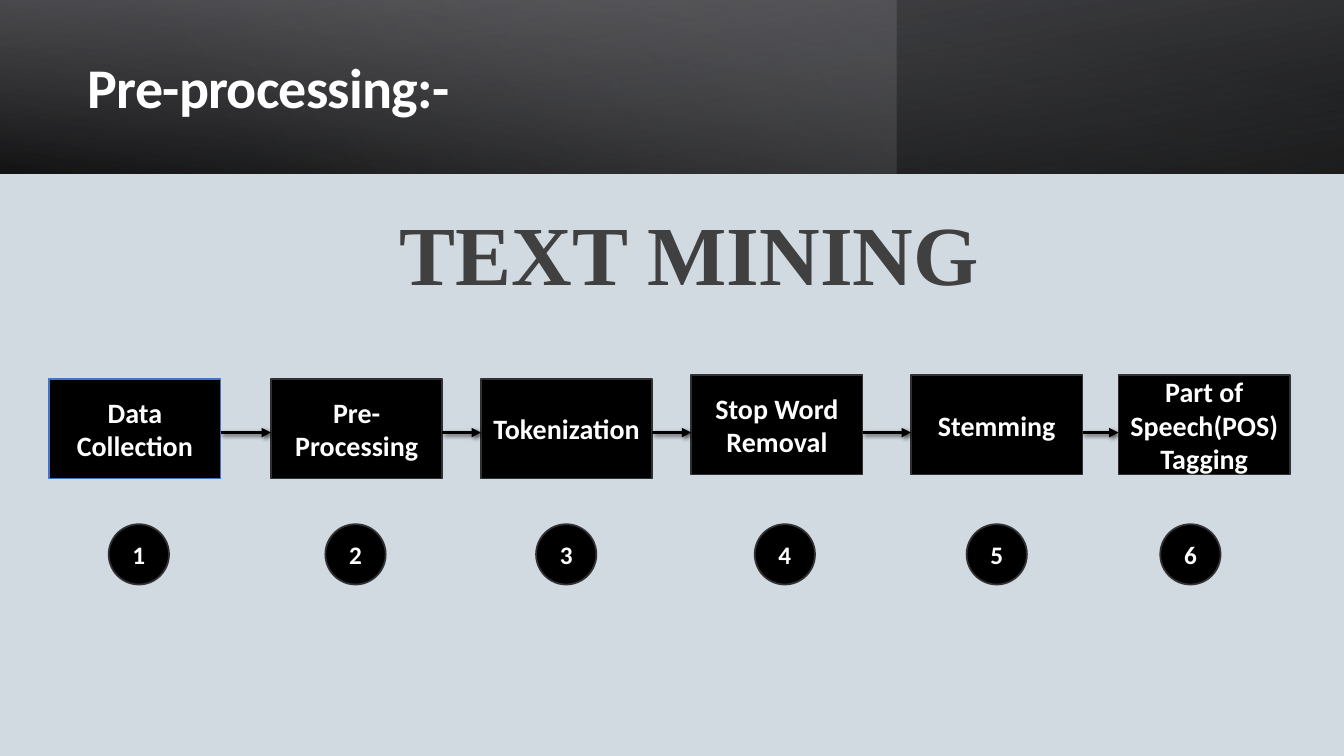
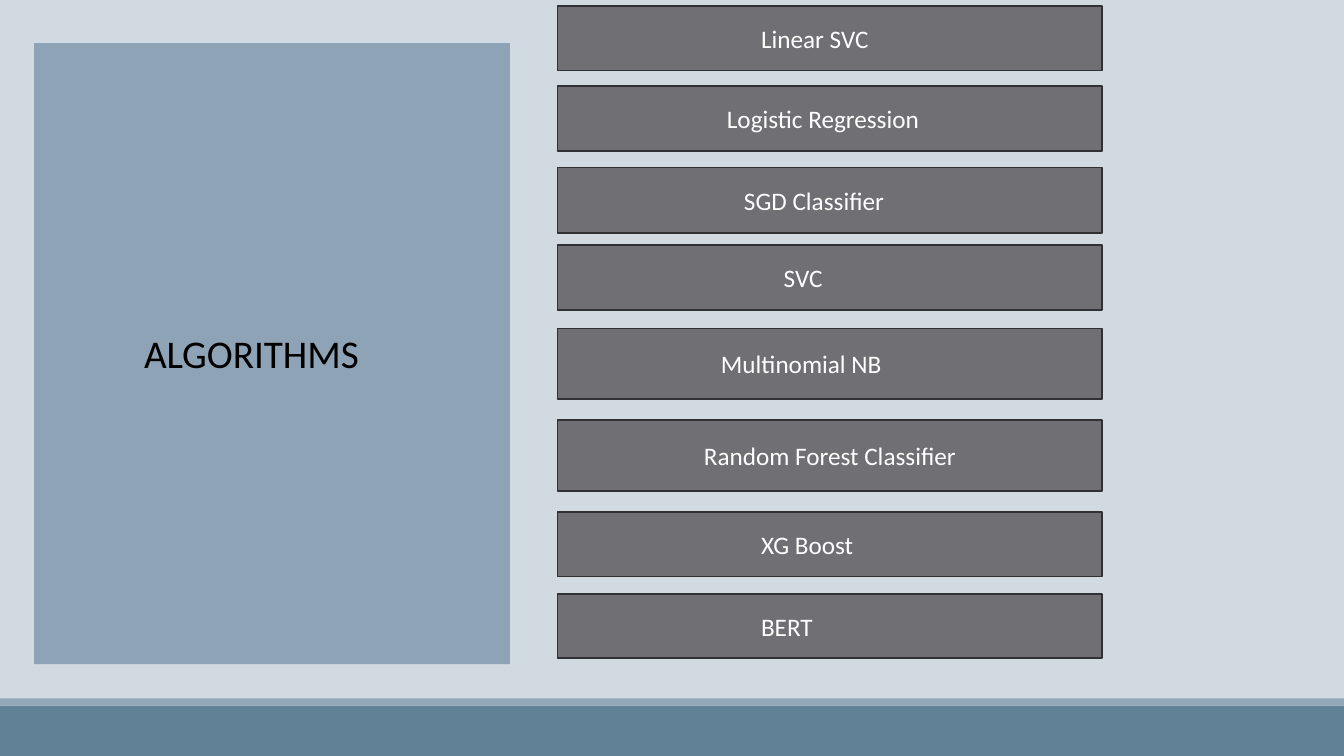
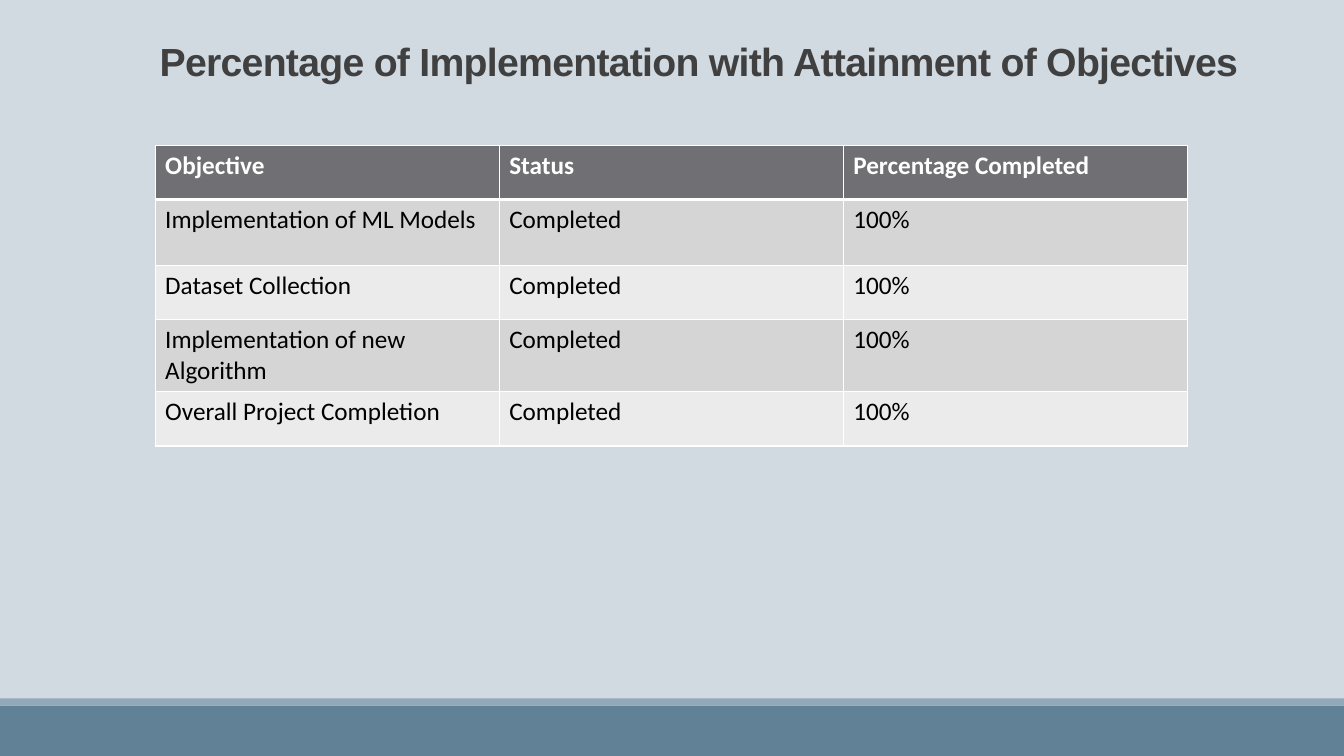
from lxml import etree
from pptx import Presentation
from pptx.dml.color import RGBColor
from pptx.enum.shapes import MSO_CONNECTOR, MSO_SHAPE as SHAPE
from pptx.enum.text import MSO_ANCHOR as ANCHOR, PP_ALIGN as ALIGN
from pptx.oxml import parse_xml
from pptx.oxml.ns import nsdecls
from pptx.util import Cm, Pt

# Shared style
WIDTH, HEIGHT = 33.87, 19.05
PAGE, STRIPE, FOOTER, PANEL = "D1D9E1", "92A9B9", "618197", "8FA3B6"
BLACK, WHITE, GREY, EDGE, BLUE = "000000", "FFFFFF", "6F6F74", "313133", "4472C4"
HEADING, BAND_DARK, BAND_LIGHT = "404040", "D5D5D6", "EBEBEB"

# Slide 1: header gradients as (width, angle, stops of position, colour, opacity)
HEADER_H = 4.37
HEADER_LAYERS = [
    (WIDTH, 260, [(0, BLACK, 96), (100, "535357", 100)]),
    (22.58, 140, [(0, GREY, 41), (74, "A8A8AC", 0)]),
    (WIDTH, 280, [(0, BLACK, 63), (78, GREY, 15)]),
]
# Steps as (lines, box left, box top, circle left)
STEPS = [
    (["Data Collection"], 1.24, 9.55, 2.74),
    (["Pre-Processing"], 6.83, 9.55, 8.2),
    (["Tokenization"], 12.12, 9.55, 13.51),
    (["Stop Word Removal"], 17.42, 9.45, 19.02),
    (["Stemming"], 22.96, 9.45, 24.36),
    (["Part of Speech(POS)", "Tagging"], 28.19, 9.45, 29.24),
]
STEP_W, STEP_H, ARROW_Y = 4.32, 2.51, 10.9
CIRCLE_TOP, CIRCLE_D = 13.21, 1.52

# Slide 2: algorithms as (name, top, height, text indent)
ALGORITHMS = [
    ("Linear SVC", 0.15, 1.63, 4.88),
    ("Logistic Regression", 2.16, 1.65, 4.02),
    ("SGD Classifier", 4.22, 1.65, 4.45),
    ("SVC", 6.17, 1.65, 5.45),
    ("Multinomial NB", 8.28, 1.78, 3.87),
    ("Random Forest Classifier", 10.59, 1.78, 3.44),
    ("XG Boost", 12.9, 1.63, 4.88),
    ("BERT", 14.96, 1.63, 4.88),
]
BAR_LEFT, BAR_W, INSET = 14.05, 13.72, 0.25

# Slide 3: objectives
OBJECTIVES = [
    ("Objective", "Status", "Percentage Completed"),
    ("Implementation of ML Models", "Completed", "100%"),
    ("Dataset Collection", "Completed", "100%"),
    ("Implementation of new Algorithm", "Completed", "100%"),
    ("Overall Project Completion", "Completed", "100%"),
]
ROW_HEIGHTS = [1.37, 1.65, 1.37, 1.82, 1.37]
COL_W = 8.67


def rgb(color):
    return RGBColor.from_string(color)


def write(tf, lines, size, color, bold=False, font="Calibri", align=ALIGN.LEFT,
          anchor=ANCHOR.TOP, line_spacing=None, tracking=None):
    tf.word_wrap = True
    tf.vertical_anchor = anchor
    for i, line in enumerate(lines):
        p = tf.add_paragraph() if i else tf.paragraphs[0]
        p.alignment = align
        if line_spacing:
            p.line_spacing = line_spacing
        r = p.add_run()
        r.text = line
        r.font.size, r.font.name, r.font.bold = Pt(size), font, bold
        r.font.color.rgb = rgb(color)
        if tracking:
            r._r.get_or_add_rPr().set("spc", str(round(tracking * 100)))


def add_box(s, left, top, width, height, fill=None, line=None, kind=SHAPE.RECTANGLE):
    sp = s.shapes.add_shape(kind, Cm(left), Cm(top), Cm(width), Cm(height))
    sp.shadow.inherit = False
    if fill:
        sp.fill.solid()
        sp.fill.fore_color.rgb = rgb(fill)
    else:
        sp.fill.background()
    if line:
        sp.line.color.rgb = rgb(line)
        sp.line.width = Pt(1.25)
    else:
        sp.line.fill.background()
    return sp


def add_text(s, left, top, width, height, text, size, color, **style):
    tb = s.shapes.add_textbox(Cm(left), Cm(top), Cm(width), Cm(height))
    write(tb.text_frame, [text], size, color, **style)


def add_gradient(s, width, angle, stops):
    sp = add_box(s, 0, 0, width, HEADER_H)
    marks = "".join(
        f'<a:gs pos="{pos * 1000}"><a:srgbClr val="{color}">'
        f'<a:alpha val="{alpha * 1000}"/></a:srgbClr></a:gs>'
        for pos, color, alpha in stops)
    gradient = parse_xml(
        f'<a:gradFill {nsdecls("a")} rotWithShape="1"><a:gsLst>{marks}</a:gsLst>'
        f'<a:lin ang="{angle * 60000}" scaled="0"/></a:gradFill>')
    props = sp._element.spPr
    props.replace(props.find("{*}noFill"), gradient)


def add_arrow(s, start, end, y):
    c = s.shapes.add_connector(MSO_CONNECTOR.STRAIGHT, Cm(start), Cm(y), Cm(end), Cm(y))
    c.line.color.rgb = rgb(BLACK)
    c.line.width = Pt(2.25)
    c.line._get_or_add_ln().append(
        parse_xml(f'<a:tailEnd {nsdecls("a")} type="triangle"/>'))
    c._element.spPr.append(parse_xml(
        f'<a:effectLst {nsdecls("a")}><a:outerShdw blurRad="{Pt(3)}" dist="{Pt(2)}" '
        f'dir="{45 * 60000}"><a:srgbClr val="{BLACK}"><a:alpha val="60000"/>'
        f'</a:srgbClr></a:outerShdw></a:effectLst>'))


def set_borders(cell, top, bottom):
    tc_pr = cell._tc.get_or_add_tcPr()
    for i, (side, width) in enumerate([("L", 1), ("R", 1), ("T", top), ("B", bottom)]):
        ln = parse_xml(f'<a:ln{side} {nsdecls("a")} w="{Pt(width)}"/>')
        fill = etree.SubElement(ln, ln.tag.replace(f"ln{side}", "solidFill"))
        etree.SubElement(fill, fill.tag.replace("solidFill", "srgbClr"), val=WHITE)
        tc_pr.insert(i, ln)


def add_slide(prs, footer=True):
    s = prs.slides.add_slide(prs.slide_layouts[6])
    if footer:
        add_box(s, 0, 17.78, WIDTH, 1.27, FOOTER)
        add_box(s, 0, 17.6, WIDTH, 0.18, STRIPE)
    return s


def build_process(prs):
    s = add_slide(prs, footer=False)
    for layer in HEADER_LAYERS:
        add_gradient(s, *layer)
    add_text(s, 1.96, 0.69, 19.61, 3.23, "Pre-processing:-", 40, WHITE, bold=True,
             anchor=ANCHOR.MIDDLE, line_spacing=0.85, tracking=-0.5)
    add_text(s, 1.93, 5.23, 30.89, 2.6, "TEXT MINING", 60, HEADING, bold=True,
             font="Times New Roman", align=ALIGN.CENTER, line_spacing=0.9)
    centred = dict(bold=True, align=ALIGN.CENTER, anchor=ANCHOR.MIDDLE)
    for i, (lines, left, top, circle_left) in enumerate(STEPS):
        box = add_box(s, left, top, STEP_W, STEP_H, BLACK, EDGE if i else BLUE)
        write(box.text_frame, lines, 20, WHITE, **centred)
        circle = add_box(s, circle_left, CIRCLE_TOP, CIRCLE_D, CIRCLE_D, BLACK, EDGE,
                         SHAPE.FLOWCHART_CONNECTOR)
        write(circle.text_frame, [str(i + 1)], 18, WHITE, **centred)
    for step, following in zip(STEPS, STEPS[1:]):
        add_arrow(s, step[1] + STEP_W, following[1], ARROW_Y)


def build_algorithms(prs):
    s = add_slide(prs)
    add_box(s, 0.86, 1.09, 11.99, 15.65, PANEL)
    add_text(s, 3.38, 8.18, 8.81, 1.45, "ALGORITHMS", 28, BLACK)
    for name, top, height, indent in ALGORITHMS:
        bar = add_box(s, BAR_LEFT, top, BAR_W, height, GREY, EDGE)
        bar.text_frame.margin_left = Cm(INSET + indent)
        write(bar.text_frame, [name], 18, WHITE, anchor=ANCHOR.MIDDLE)


def build_objectives(prs):
    s = add_slide(prs)
    add_text(s, 3.18, 1.1, 28.85, 2.44,
             "Percentage of Implementation with Attainment of Objectives", 28, HEADING,
             bold=True, font="Arial", align=ALIGN.CENTER, line_spacing=0.75,
             tracking=-0.5)
    rows, cols = len(OBJECTIVES), len(OBJECTIVES[0])
    table = s.shapes.add_table(rows, cols, Cm(3.91), Cm(3.66), Cm(COL_W * cols),
                               Cm(sum(ROW_HEIGHTS))).table
    for col in table.columns:
        col.width = Cm(COL_W)
    for i, (values, height) in enumerate(zip(OBJECTIVES, ROW_HEIGHTS)):
        table.rows[i].height = Cm(height)
        header = i == 0
        fill = GREY if header else BAND_DARK if i % 2 else BAND_LIGHT
        for j, value in enumerate(values):
            cell = table.cell(i, j)
            cell.fill.solid()
            cell.fill.fore_color.rgb = rgb(fill)
            set_borders(cell, top=3 if i == 1 else 1, bottom=3 if header else 1)
            write(cell.text_frame, [value], 18, WHITE if header else BLACK, bold=header)


def main():
    prs = Presentation()
    prs.slide_width, prs.slide_height = Cm(WIDTH), Cm(HEIGHT)
    background = prs.slide_master.background.fill
    background.solid()
    background.fore_color.rgb = rgb(PAGE)
    build_process(prs)
    build_algorithms(prs)
    build_objectives(prs)
    prs.save("out.pptx")


if __name__ == "__main__":
    main()
